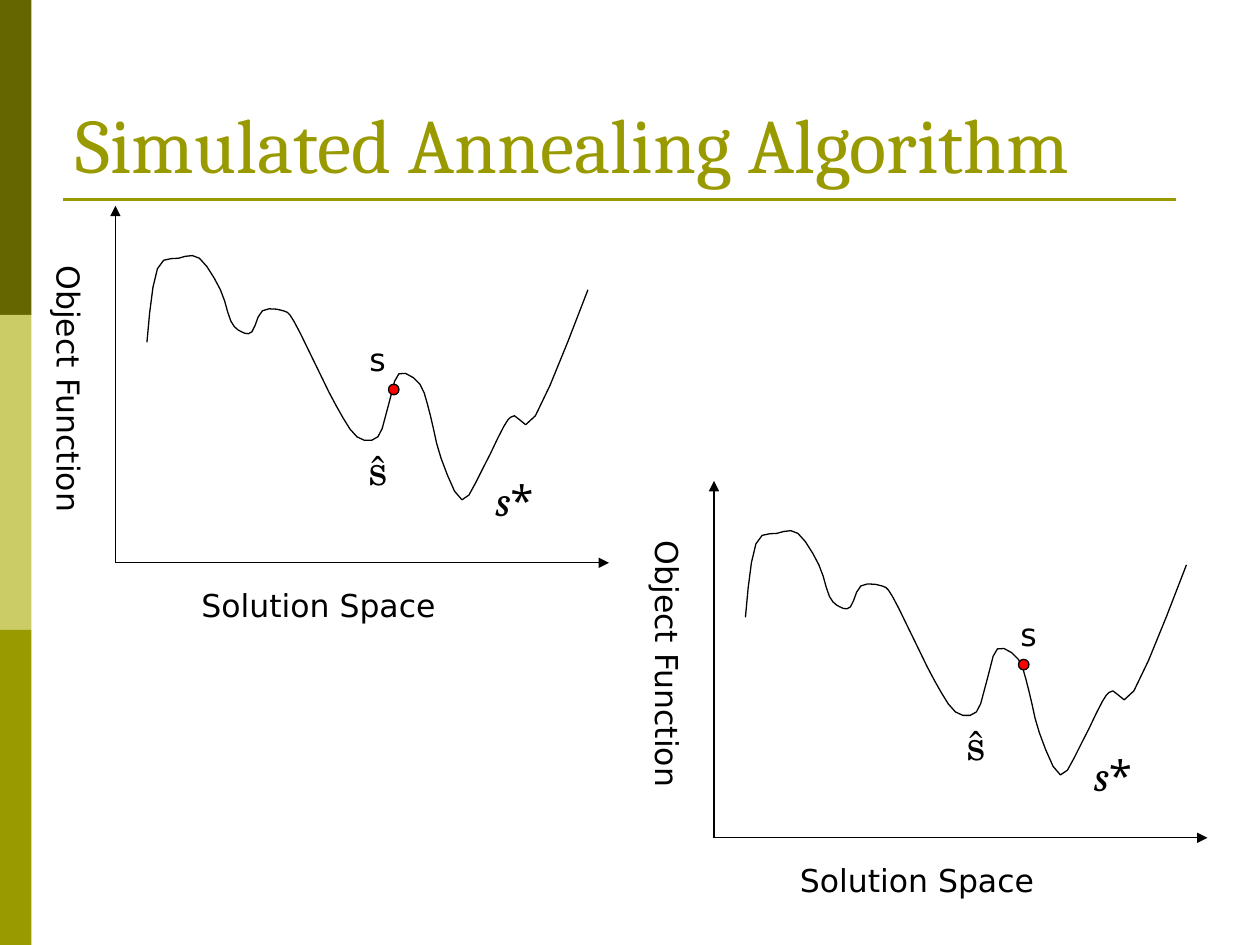
import pptx
import pptx.util
import pptx.dml.color
import pptx.enum.shapes
import pptx.enum.text
import pptx.oxml
import pptx.oxml.ns

Inches = pptx.util.Inches
Pt = pptx.util.Pt
SHAPE = pptx.enum.shapes.MSO_SHAPE
STRAIGHT = pptx.enum.shapes.MSO_CONNECTOR.STRAIGHT
ANCHOR = pptx.enum.text.MSO_ANCHOR
ALIGN = pptx.enum.text.PP_ALIGN
FIT = pptx.enum.text.MSO_AUTO_SIZE
NS = 'xmlns:a="http://schemas.openxmlformats.org/drawingml/2006/main"'

CELL = 1 / 12
AXIS_COL, AXIS_ROW, END_COL = 8, 34, 55
KNOTS = [(3, 21), (4, 28), (6, 29), (8, 29), (10, 26), (11, 23), (12, 22),
         (13, 22), (14, 24), (16, 24), (17, 23), (19, 19), (21, 15), (23, 12),
         (25, 12), (26, 15), (27, 18), (29, 17), (30, 14), (31, 10), (33, 6),
         (35, 9), (37, 13), (38, 14), (40, 14), (45, 26)]

PLAIN = {"name": "DejaVu Sans", "size": Pt(18), "color": "000000"}
HAT = {"name": "TeX Gyre Schola", "size": Pt(24), "color": "000004"}
BEST = {"name": "Cambria", "size": Pt(24), "color": "020202", "italic": True}
STAR = {**BEST, "name": "Open Sans", "italic": False}
HEAD = {"name": "Cambria", "size": Pt(44), "color": "999900"}
FLOW = {"word_wrap": True, "auto_size": FIT.SHAPE_TO_FIT_TEXT}
MID = {"word_wrap": False, "auto_size": FIT.NONE, "margin_left": 0,
       "margin_right": 0, "vertical_anchor": ANCHOR.MIDDLE}


def tint(hue):
    return pptx.dml.color.RGBColor.from_string(hue)


def style(thing, form):
    for key, value in form.items():
        if key == "color":
            thing.color.rgb = tint(value)
        else:
            setattr(thing, key, value)


def paint(shape, fill=None, edge=None):
    shape.shadow.inherit = False
    if fill:
        shape.fill.solid()
        shape.fill.fore_color.rgb = tint(fill)
    else:
        shape.fill.background()
    if edge:
        style(shape.line, {"color": edge, "width": Pt(0.75)})
    else:
        shape.line.fill.background()


def rule(shapes, start, end, form, arrow=False):
    line = shapes.add_connector(STRAIGHT, *map(Inches, start + end))
    style(line.line, form)
    if arrow:
        line.line._get_or_add_ln().append(
            pptx.oxml.parse_xml(f'<a:tailEnd {NS} type="triangle"/>'))
    line._element.spPr.append(pptx.oxml.parse_xml(f"<a:effectLst {NS}/>"))


def write(para, runs):
    for text, font in runs:
        run = para.add_run()
        run.text = text
        style(run.font, font)


def label(shapes, box, runs, form, align=ALIGN.LEFT, turn=None):
    frame = shapes.add_textbox(*map(Inches, box)).text_frame
    style(frame, form)
    if turn:
        frame._txBody.find(pptx.oxml.ns.qn("a:bodyPr")).set("vert", turn)
    frame.paragraphs[0].alignment = align
    write(frame.paragraphs[0], runs)


def smooth(knots, steps=3):
    last = len(knots) - 1

    def slope(i):
        return [(b - a) / 6 for a, b in zip(knots[i - 1], knots[i + 1])]

    def lean(i, sign):
        return [k + sign * s for k, s in zip(knots[i], slope(i))]

    def half(a, b):
        return [(p + q) / 2 for p, q in zip(a, b)]

    points = [knots[0]]
    for i in range(last):
        a, d = knots[i], knots[i + 1]
        b = lean(i, 1) if i else half(a, lean(1, -1))
        c = lean(i + 1, -1) if i + 1 < last else half(b, d)
        for n in range(1, steps + 1):
            t = n / steps
            u = 1 - t
            points.append(tuple(
                u**3 * p + 3 * u * u * t * q + 3 * u * t * t * r + t**3 * s
                for p, q, r, s in zip(a, b, c, d)))
    return points


def panel(slide, left, top, dot_col, name_col):
    shapes = slide.shapes.add_group_shape().shapes

    def spot(col, row):
        return (left + col) * CELL, (top + row) * CELL

    def area(col, row, wide, high):
        return spot(col, row) + (wide * CELL, high * CELL)

    base = spot(AXIS_COL, AXIS_ROW)
    for end in (spot(END_COL, AXIS_ROW), spot(AXIS_COL, 0)):
        rule(shapes, base, end, {"color": "000000", "width": Pt(0.75)}, True)

    first, *rest = [tuple(map(Inches, spot(AXIS_COL + x, AXIS_ROW - y)))
                    for x, y in smooth(KNOTS)]
    pen = shapes.build_freeform(*first)
    pen.add_line_segments(rest, close=False)
    paint(pen.convert_to_shape(), edge="000000")

    label(shapes, area(30, 22, 6, 6), [("ŝ", HAT)], MID, ALIGN.CENTER)
    label(shapes, area(43, 25, 6, 6), [("s", BEST), ("*", STAR)], MID,
          ALIGN.CENTER)
    label(shapes, area(15, 35.6, 30, 4.8), [("Solution Space", PLAIN)], FLOW)
    label(shapes, area(0, 4.5, 6, 26.5), [("Object Function", PLAIN)], FLOW,
          turn="eaVert")
    dot = shapes.add_shape(SHAPE.OVAL, *map(Inches, area(dot_col, 17, 1, 1)))
    paint(dot, "FF0000", "000000")
    label(shapes, area(name_col, 12.2, 5, 4.8), [("s", PLAIN)], FLOW)


def side(slide, wide, high):
    hues = ["666600", "CCCC66", "999900"]
    step = high / len(hues)
    for i, hue in enumerate(hues):
        bar = slide.shapes.add_shape(
            SHAPE.RECTANGLE, *map(Inches, (0, i * step, wide, step)))
        paint(bar, hue)


def header(slide, left, top, wide, high):
    title = slide.shapes.title
    spots = zip(("left", "top", "width", "height"), (left, top, wide, high))
    style(title, {key: Inches(value) for key, value in spots})
    style(title.text_frame, {"word_wrap": True, "auto_size": FIT.NONE,
                             "vertical_anchor": ANCHOR.BOTTOM})
    para = title.text_frame.paragraphs[0]
    para.alignment = ALIGN.LEFT
    write(para, [("Simulated Annealing Algorithm", HEAD)])
    low = top + high + 0.4 * CELL
    rule(slide.shapes, (left, low), (left + 106 * CELL, low),
         {"color": "999900", "width": Pt(1.5)})


def main():
    deck = pptx.Presentation()
    style(deck, {"slide_width": Inches(10), "slide_height": Inches(7.5)})
    slide = deck.slides.add_slide(deck.slide_layouts[5])
    side(slide, 0.25, 7.5)
    header(slide, 0.5, 0.3, 9, 1.25)
    panel(slide, 3, 19.6, 34, 31)
    panel(slide, 60, 45.8, 37, 36)
    deck.save("out.pptx")


main()
